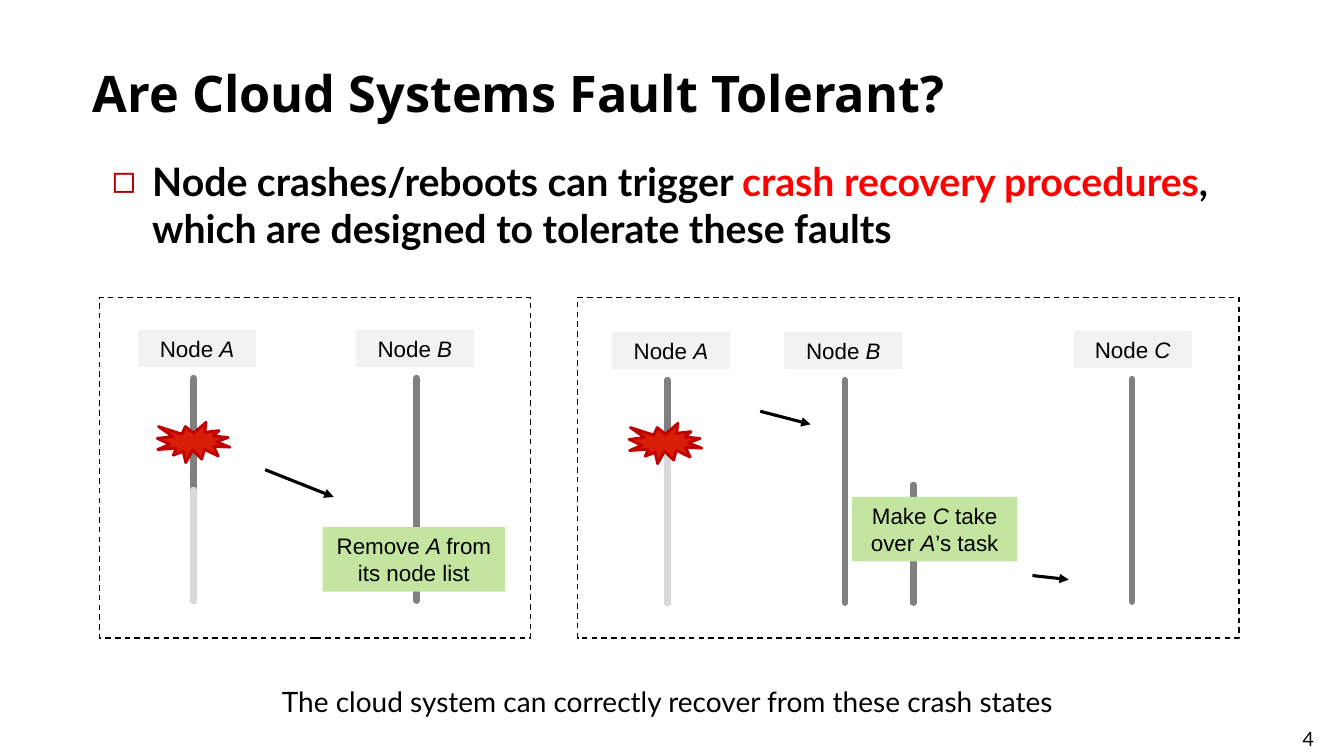
from lxml import etree
from pptx import Presentation
from pptx.dml.color import RGBColor
from pptx.enum.dml import MSO_LINE
from pptx.enum.shapes import MSO_CONNECTOR, MSO_SHAPE
from pptx.enum.text import MSO_ANCHOR, MSO_AUTO_SIZE, PP_ALIGN
from pptx.oxml.ns import qn
from pptx.util import Inches, Pt

BLACK = RGBColor(0x00, 0x00, 0x00)
RED = RGBColor(0xFF, 0x00, 0x00)
LABEL = RGBColor(0xF2, 0xF2, 0xF2)
TASK = RGBColor(0xC4, 0xE5, 0x9F)
ALIVE = RGBColor(0x80, 0x80, 0x80)
DEAD = RGBColor(0xD9, 0xD9, 0xD9)
CRASH_FILL = RGBColor(0xD8, 0x1E, 0x06)
CRASH_LINE = RGBColor(0xC0, 0x00, 0x00)

TITLE = "Are Cloud Systems Fault Tolerant?"
BODY = [
    ("Node crashes/reboots can trigger ", BLACK),
    ("crash recovery procedures", RED),
    (", which are designed to tolerate these faults", BLACK),
]
CAPTION = "The cloud system can correctly recover from these crash states"
PAGE = "4"

LABEL_W, LABEL_H = 1.17, 0.37
TASK_H = 0.64
CRASH_W, CRASH_H = 0.72, 0.4
PANEL_TOP, PANEL_H = 2.95, 3.38
LIFE_GAP, LIFE_LEN = 0.48, 2.21

# name, label left, label top, lifeline x
SCENARIOS = [
    {
        "panel": (0.99, 4.27),
        "nodes": [("A", 1.37, 3.27, 1.92), ("B", 3.53, 3.27, 4.13)],
        "threads": [],
        "dead": (1.92, 4.86, 5.96),
        "crash": (1.56, 4.19),
        "task": (3.2, 5.23, 1.81, ["Remove ", "A ", "from its node list"]),
        "messages": [(2.63, 4.66, 3.31, 4.93)],
    },
    {
        "panel": (5.73, 6.56),
        "nodes": [("A", 6.07, 3.29, 6.62), ("B", 7.78, 3.29, 8.38), ("C", 10.65, 3.28, 11.23)],
        "threads": [(9.06, 4.81, 5.98)],
        "dead": (6.62, 4.47, 5.98),
        "crash": (6.24, 4.2),
        "task": (8.45, 4.93, 1.64, ["Make ", "C", " take over ", "A", "’s task"]),
        "messages": [(7.54, 4.08, 8.04, 4.21), (10.24, 5.71, 10.6, 5.75)],
    },
]


def place(sp, x, y, w, h):
    sp.left, sp.top, sp.width, sp.height = (Inches(v) for v in (x, y, w, h))


def style(r, size, font, color=BLACK, bold=False, italic=False):
    r.font.size, r.font.name = Pt(size), font
    r.font.color.rgb = color
    r.font.bold, r.font.italic = bold, italic


def add_text(s, text, x, y, w, h, size, align):
    tf = s.shapes.add_textbox(*(Inches(v) for v in (x, y, w, h))).text_frame
    tf.word_wrap = True
    p = tf.paragraphs[0]
    p.text, p.alignment = text, align
    style(p.runs[0], size, "Lato")


def add_box(s, kind, x, y, w, h, fill=None, line=None, width=1):
    sp = s.shapes.add_shape(kind, *(Inches(v) for v in (x, y, w, h)))
    sp.shadow.inherit = False
    if fill is None:
        sp.fill.background()
    else:
        sp.fill.solid()
        sp.fill.fore_color.rgb = fill
    if line is None:
        sp.line.fill.background()
    else:
        sp.line.color.rgb, sp.line.width = line, Pt(width)
    return sp


def add_label(s, x, y, w, h, fill, parts):
    tf = add_box(s, MSO_SHAPE.RECTANGLE, x, y, w, h, fill).text_frame
    tf.word_wrap = True
    tf.vertical_anchor = MSO_ANCHOR.MIDDLE
    p = tf.paragraphs[0]
    p.alignment = PP_ALIGN.CENTER
    for i, text in enumerate(parts):
        r = p.add_run()
        r.text = text
        style(r, 16, "Arial", italic=i % 2 == 1)


def add_line(s, x1, y1, x2, y2, color, width, arrow=False):
    c = s.shapes.add_connector(MSO_CONNECTOR.STRAIGHT, *(Inches(v) for v in (x1, y1, x2, y2)))
    c.line.color.rgb, c.line.width = color, Pt(width)
    ln = c.line._get_or_add_ln()
    if arrow:
        etree.SubElement(ln, qn("a:tailEnd"), type="triangle")
    else:
        ln.set("cap", "rnd")
    etree.SubElement(c._element.spPr, qn("a:effectLst"))


def add_title(s):
    sp = s.shapes.title
    place(sp, 0.82, 0.34, 11.84, 0.93)
    tf = sp.text_frame
    tf.text = TITLE
    tf.auto_size = MSO_AUTO_SIZE.NONE
    tf.vertical_anchor = MSO_ANCHOR.BOTTOM
    p = tf.paragraphs[0]
    p.alignment, p.line_spacing = PP_ALIGN.LEFT, Pt(46.7)
    style(p.runs[0], 36, "Open Sans", bold=True)


def add_body(s):
    sp = s.placeholders[1]
    place(sp, 1.01, 1.51, 11.31, 1.04)
    tf = sp.text_frame
    tf.auto_size = MSO_AUTO_SIZE.NONE
    p = tf.paragraphs[0]
    p.space_before = Pt(0)
    pPr = p._p.get_or_add_pPr()
    pPr.set("marL", str(Inches(0.4)))
    pPr.set("indent", str(Inches(-0.4)))
    etree.SubElement(etree.SubElement(pPr, qn("a:buClr")), qn("a:srgbClr"), val="AD0101")
    etree.SubElement(pPr, qn("a:buChar"), char="◻")
    for text, color in BODY:
        r = p.add_run()
        r.text = text
        style(r, 28, "Lato", color, bold=True)


def add_scenario(s, sc):
    left, width = sc["panel"]
    panel = add_box(s, MSO_SHAPE.RECTANGLE, left, PANEL_TOP, width, PANEL_H, line=BLACK)
    panel.line.dash_style = MSO_LINE.DASH
    for name, x, y, life_x in sc["nodes"]:
        add_label(s, x, y, LABEL_W, LABEL_H, LABEL, ["Node ", name])
        top = y + LIFE_GAP
        add_line(s, life_x, top, life_x, top + LIFE_LEN, ALIVE, 4.5)
    for x, top, bottom in sc["threads"]:
        add_line(s, x, top, x, bottom, ALIVE, 4.5)
    x, top, bottom = sc["dead"]
    add_line(s, x, top, x, bottom, DEAD, 4.5)
    add_box(s, MSO_SHAPE.EXPLOSION1, *sc["crash"], CRASH_W, CRASH_H, CRASH_FILL, CRASH_LINE, 2)
    x, y, w, parts = sc["task"]
    add_label(s, x, y, w, TASK_H, TASK, parts)
    for ends in sc["messages"]:
        add_line(s, *ends, BLACK, 2.25, arrow=True)


def main():
    """Build the slide on crash recovery in cloud systems."""
    prs = Presentation()
    prs.slide_width, prs.slide_height = Inches(13.33), Inches(7.5)
    s = prs.slides.add_slide(prs.slide_layouts[1])
    add_title(s)
    add_body(s)
    for sc in SCENARIOS:
        add_scenario(s, sc)
    add_text(s, CAPTION, 1.7, 6.74, 9.84, 0.44, 20, PP_ALIGN.CENTER)
    add_text(s, PAGE, 12.82, 7.16, 0.48, 0.34, 14, PP_ALIGN.LEFT)
    prs.save("out.pptx")


if __name__ == "__main__":
    main()
